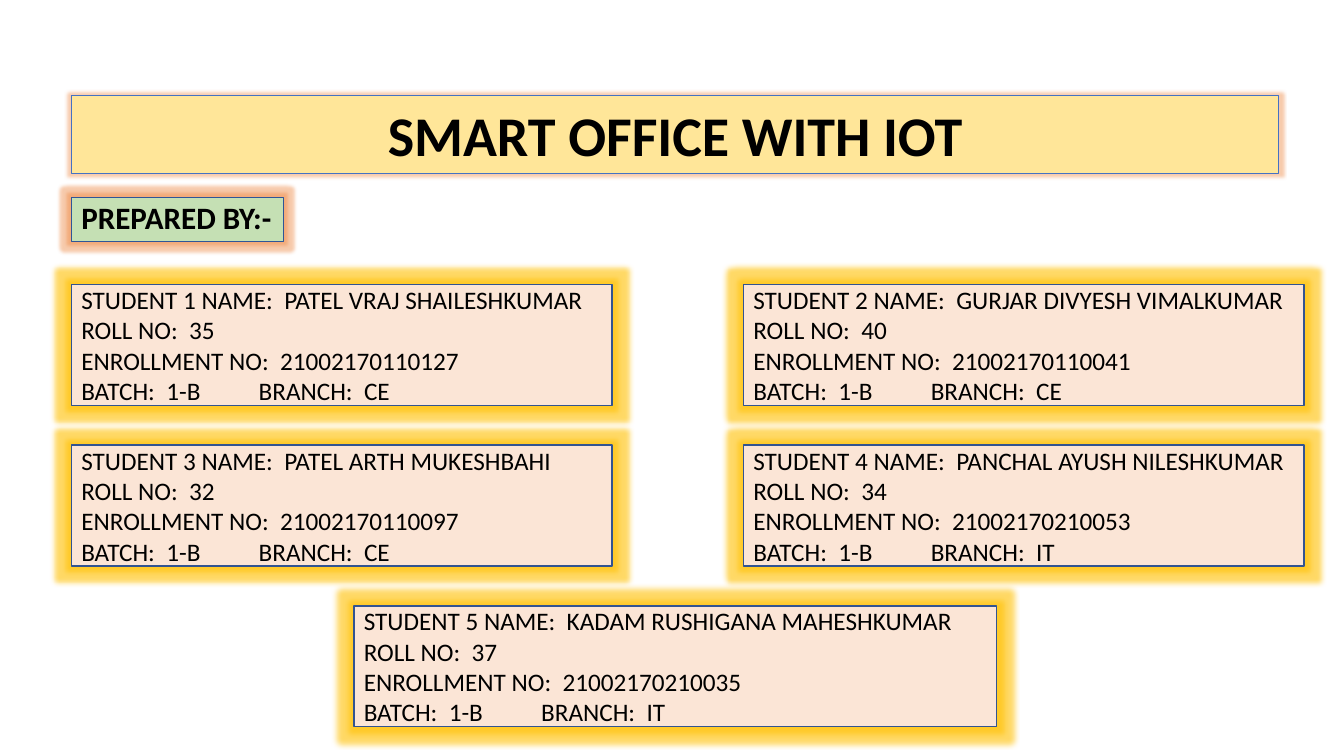
from dataclasses import dataclass

from lxml import etree
from pptx import Presentation
from pptx.dml.color import RGBColor
from pptx.enum.shapes import MSO_SHAPE
from pptx.enum.text import MSO_ANCHOR, MSO_AUTO_SIZE, PP_ALIGN
from pptx.oxml.ns import qn
from pptx.util import Pt

RECT = MSO_SHAPE.RECTANGLE
BOTTOM, MIDDLE = MSO_ANCHOR.BOTTOM, MSO_ANCHOR.MIDDLE
LEFT, CENTER = PP_ALIGN.LEFT, PP_ALIGN.CENTER
NO_FIT = MSO_AUTO_SIZE.NONE
PX = 9525
TITLE_ONLY = 5


@dataclass(frozen=True)
class Theme:
    """Colours, type sizes and glows of the slide."""
    font: str = "Calibri"
    text: str = "000000"
    title_fill: str = "FFE699"
    title_line: str = "4472C4"
    label_fill: str = "C5E0B4"
    label_line: str = "2F5597"
    card_fill: str = "FBE5D6"
    card_line: str = "325491"
    heading_glow: tuple = ("ED7D31", 5, 40)
    card_glow: tuple = ("FFC000", 8, 60)
    title_size: float = 40
    label_size: float = 22.2
    card_size: float = 18


THEME = Theme()
BRANCH_TAB = 169
ROW_TOP, ROW_PITCH, CARD_HEIGHT = 271, 153, 115
STUDENTS = [
    ("PATEL VRAJ SHAILESHKUMAR", 35, "21002170110127", "CE", 0, 68, 515),
    ("GURJAR DIVYESH VIMALKUMAR", 40, "21002170110041", "CE", 0, 708, 534),
    ("PATEL ARTH MUKESHBAHI", 32, "21002170110097", "CE", 1, 68, 515),
    ("PANCHAL AYUSH NILESHKUMAR", 34, "21002170210053", "IT", 1, 708, 534),
    ("KADAM RUSHIGANA MAHESHKUMAR", 37, "21002170210035", "IT", 2, 337, 612),
]


def place(shape, box):
    """Move and size a shape to a box in px."""
    for name, value in zip(("left", "top", "width", "height"), box):
        setattr(shape, name, value * PX)


def style_box(shape, fill, line, width, glow):
    """Give a shape its fill, outline and glow."""
    shape.fill.solid()
    shape.fill.fore_color.rgb = RGBColor.from_string(fill)
    shape.line.color.rgb = RGBColor.from_string(line)
    shape.line.width = Pt(width)
    shape.shadow.inherit = False
    color, radius, alpha = glow
    effects = shape._element.spPr.find(qn("a:effectLst"))
    node = etree.SubElement(effects, qn("a:glow"), rad=str(Pt(radius)))
    rgb = etree.SubElement(node, qn("a:srgbClr"), val=color)
    etree.SubElement(rgb, qn("a:alpha"), val=str(alpha * 1000))


def write(shape, lines, size, bold=False, align=LEFT, spacing=1.0, **frame):
    """Write one paragraph per line with a shared format."""
    tf = shape.text_frame
    settings = {"word_wrap": True, "auto_size": NO_FIT, "vertical_anchor": MIDDLE, **frame}
    for name, value in settings.items():
        setattr(tf, name, value)
    for i, line in enumerate(lines):
        p = tf.add_paragraph() if i else tf.paragraphs[0]
        p.alignment, p.line_spacing = align, spacing
        r = p.add_run()
        r.text = line
        for name, value in {"name": THEME.font, "size": Pt(size), "bold": bold}.items():
            setattr(r.font, name, value)
        r.font.color.rgb = RGBColor.from_string(THEME.text)


def add_tab_stop(p, position):
    """Set a left tab stop, in px, on a paragraph."""
    tabs = etree.SubElement(p._p.get_or_add_pPr(), qn("a:tabLst"))
    etree.SubElement(tabs, qn("a:tab"), pos=str(position * PX), algn="l")


def add_title(s, box):
    """Format the title placeholder as a banner."""
    title = s.shapes.title
    place(title, box)
    style_box(title, THEME.title_fill, THEME.title_line, 0.75, THEME.heading_glow)
    write(title, ["SMART OFFICE WITH IOT"], THEME.title_size, bold=True,
          align=CENTER, spacing=0.9, vertical_anchor=BOTTOM)


def add_label(s, box):
    """Add the label above the student cards."""
    label = s.shapes.add_shape(RECT, *(v * PX for v in box))
    style_box(label, THEME.label_fill, THEME.label_line, 0.75, THEME.heading_glow)
    write(label, ["PREPARED BY:-"], THEME.label_size, bold=True, spacing=0.9,
          margin_right=0)


def add_card(s, box, number, name, roll, enrollment, branch):
    """Add one student's card."""
    card = s.shapes.add_shape(RECT, *(v * PX for v in box))
    style_box(card, THEME.card_fill, THEME.card_line, 1, THEME.card_glow)
    write(card, [
        f"STUDENT {number} NAME:  {name}",
        f"ROLL NO:  {roll}",
        f"ENROLLMENT NO:  {enrollment}",
        f"BATCH:  1-B\tBRANCH:  {branch}",
    ], THEME.card_size)
    add_tab_stop(card.text_frame.paragraphs[-1], BRANCH_TAB)


def main():
    """Build and save the slide."""
    prs = Presentation()
    prs.slide_width, prs.slide_height = 1280 * PX, 720 * PX
    s = prs.slides.add_slide(prs.slide_layouts[TITLE_ONLY])
    add_title(s, (68, 91, 1150, 74))
    add_label(s, (68, 188, 202, 42))
    for number, (*details, row, left, width) in enumerate(STUDENTS, 1):
        box = (left, ROW_TOP + row * ROW_PITCH, width, CARD_HEIGHT)
        add_card(s, box, number, *details)
    prs.save("out.pptx")


if __name__ == "__main__":
    main()
